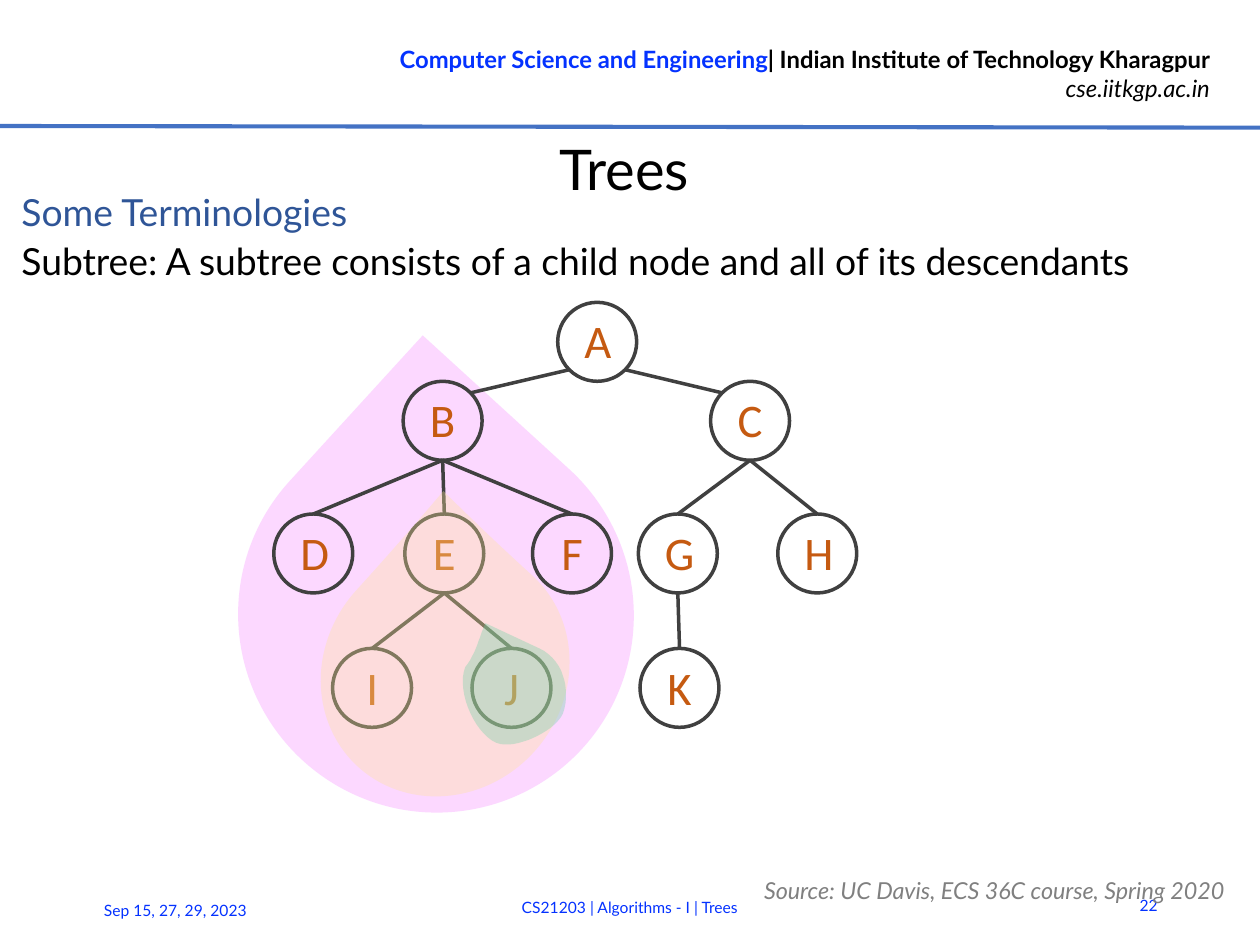
from dataclasses import dataclass

from lxml.etree import SubElement
from pptx import Presentation
from pptx.dml.color import RGBColor
from pptx.enum.shapes import MSO_CONNECTOR, MSO_SHAPE
from pptx.enum.text import MSO_ANCHOR, MSO_AUTO_SIZE, PP_ALIGN
from pptx.oxml.ns import qn
from pptx.shapes.base import BaseShape
from pptx.slide import Slide
from pptx.text.text import Font
from pptx.util import Inches, Pt

BLUE = RGBColor(0x04, 0x32, 0xFF)
RULE_BLUE = RGBColor(0x44, 0x72, 0xC4)
HEADING_BLUE = RGBColor(0x2F, 0x55, 0x97)
BLACK = RGBColor(0x00, 0x00, 0x00)
GRAY = RGBColor(0x80, 0x80, 0x80)
DARK_GRAY = RGBColor(0x40, 0x40, 0x40)
ORANGE = RGBColor(0xC5, 0x5A, 0x11)
PINK = RGBColor(0xF8, 0x8E, 0xFF)
YELLOW = RGBColor(0xFF, 0xE6, 0x99)
GREEN = RGBColor(0x6B, 0xD3, 0xA5)

HEADER_SIZE = 10.2
FOOTER_SIZE = 6.7
NODE_SIZE = 0.47
RADIUS = NODE_SIZE / 2
DIAGONAL = RADIUS * 0.5 ** 0.5
LETTER_WIDTH = 0.35
LETTER_HEIGHT = 0.44
CURVE_STEPS = 16
UNITS_PER_INCH = 1000

Point = tuple[float, float]


@dataclass(frozen=True)
class Box:
    left: float
    top: float
    width: float
    height: float

    def lengths(self) -> list[int]:
        return [Inches(v) for v in (self.left, self.top, self.width, self.height)]


@dataclass(frozen=True)
class Line:
    text: str
    size: float
    color: RGBColor
    italic: bool = False
    align: PP_ALIGN = PP_ALIGN.LEFT
    spacing: float | None = None
    font: str = "Lato"


@dataclass(frozen=True)
class Label:
    box: Box
    lines: tuple[Line, ...]
    anchor: MSO_ANCHOR = MSO_ANCHOR.MIDDLE
    gap: float = 0
    wrap: bool = True


@dataclass(frozen=True)
class Node:
    letter: str
    left: float
    top: float
    parent: str = ""

    @property
    def center(self) -> Point:
        return self.left + RADIUS, self.top + RADIUS


@dataclass(frozen=True)
class Drop:
    box: Box
    rotation: float
    point: float
    color: RGBColor


LABELS = (
    Label(Box(0.03, 1.11, 7.37, 3.87), (
        Line("Some Terminologies", 16, HEADING_BLUE, spacing=17),
        Line("Subtree: A subtree consists of a child node and all of its descendants",
             16, BLACK, spacing=17),
    ), MSO_ANCHOR.TOP, gap=4),
    Label(Box(6.62, 5.24, 0.37, 0.3), (Line("22", FOOTER_SIZE, BLUE, align=PP_ALIGN.RIGHT),)),
    Label(Box(0.52, 5.27, 1.31, 0.3), (Line("Sep 15, 27, 29, 2023", FOOTER_SIZE, BLUE),)),
    Label(Box(1.24, 5.25, 5.02, 0.3),
          (Line("CS21203 | Algorithms - I | Trees", FOOTER_SIZE, BLUE, align=PP_ALIGN.CENTER),)),
    Label(Box(4.45, 5.17, 3.02, 0.17),
          (Line("Source: UC Davis, ECS 36C course, Spring 2020", 10, GRAY,
                italic=True, spacing=18),)),
)

NODES = (
    Node("A", 3.32, 1.8),
    Node("B", 2.4, 2.27, "A"),
    Node("C", 4.23, 2.27, "A"),
    Node("D", 1.63, 3.06, "B"),
    Node("E", 2.41, 3.06, "B"),
    Node("F", 3.17, 3.06, "B"),
    Node("G", 3.8, 3.06, "C"),
    Node("H", 4.63, 3.06, "C"),
    Node("I", 1.98, 3.86, "E"),
    Node("J", 2.81, 3.86, "E"),
    Node("K", 3.81, 3.86, "G"),
)

SUBTREE_B = Drop(Box(1.42, 2.48, 2.35, 2.36), 312.4, 1, PINK)
SUBTREE_E = Drop(Box(1.88, 3.28, 1.54, 1.43), 312.3, 1.02, YELLOW)
SUBTREE_J = (
    ((2.98, 4.43), (2.84, 4.4), (2.71, 4.12), (2.77, 3.97)),
    ((2.77, 3.97), (2.83, 3.9), (2.85, 3.8), (2.89, 3.71)),
    ((3.21, 3.86), (3.38, 3.94), (3.39, 4.15), (3.35, 4.25)),
    ((3.35, 4.25), (3.31, 4.34), (3.11, 4.45), (2.98, 4.43)),
)


def style_font(font: Font, size: float, color: RGBColor, name: str = "Lato") -> None:
    font.name = name
    font.size = Pt(size)
    font.color.rgb = color


def add_label(slide: Slide, label: Label) -> None:
    frame = slide.shapes.add_textbox(*label.box.lengths()).text_frame
    frame.word_wrap = label.wrap
    frame.vertical_anchor = label.anchor
    for index, line in enumerate(label.lines):
        paragraph = frame.add_paragraph() if index else frame.paragraphs[0]
        paragraph.text = line.text
        paragraph.alignment = line.align
        if line.spacing:
            paragraph.line_spacing = Pt(line.spacing)
        if index:
            paragraph.space_before = Pt(label.gap)
        style_font(paragraph.font, line.size, line.color, line.font)
        paragraph.font.italic = line.italic


def add_header(slide: Slide) -> None:
    frame = slide.shapes.add_textbox(*Box(1.91, 0.22, 5.39, 0.44).lengths()).text_frame
    frame.word_wrap = True
    department, address = frame.paragraphs[0], frame.add_paragraph()
    for text, color in (("Computer Science and Engineering", BLUE),
                        ("| Indian Institute of Technology Kharagpur", BLACK)):
        run = department.add_run()
        run.text = text
        style_font(run.font, HEADER_SIZE, color)
        run.font.bold = True
    address.text = "cse.iitkgp.ac.in"
    style_font(address.font, HEADER_SIZE, BLACK)
    address.font.italic = True
    for paragraph in (department, address):
        paragraph.alignment = PP_ALIGN.RIGHT


def format_title(slide: Slide) -> None:
    title = slide.shapes.title
    title.left, title.top, title.width, title.height = Box(0.24, 0.79, 6.94, 0.41).lengths()
    frame = title.text_frame
    frame.text = "Trees"
    frame.auto_size = MSO_AUTO_SIZE.NONE
    frame.vertical_anchor = MSO_ANCHOR.MIDDLE
    frame.margin_left = frame.margin_top = Inches(0.01)
    frame.margin_right = frame.margin_bottom = 0
    paragraph = frame.paragraphs[0]
    paragraph.alignment = PP_ALIGN.CENTER
    paragraph.line_spacing = 1.0
    style_font(paragraph.font, 24, BLACK)


def add_line(slide: Slide, start: Point, end: Point, color: RGBColor, width: float) -> None:
    ends = [Inches(value) for value in (*start, *end)]
    connector = slide.shapes.add_connector(MSO_CONNECTOR.STRAIGHT, *ends)
    connector.line.color.rgb = color
    connector.line.width = Pt(width)
    SubElement(connector._element.spPr, qn("a:effectLst"))


def add_node(slide: Slide, node: Node) -> None:
    box = Box(node.left, node.top, NODE_SIZE, NODE_SIZE)
    shape = slide.shapes.add_shape(MSO_SHAPE.OVAL, *box.lengths())
    shape.shadow.inherit = False
    shape.fill.background()
    shape.line.color.rgb = DARK_GRAY
    shape.line.width = Pt(1.5)
    letter_box = Box(node.center[0] - LETTER_WIDTH / 2, node.top + 0.01,
                     LETTER_WIDTH, LETTER_HEIGHT)
    letter = Line(node.letter, 20, ORANGE, align=PP_ALIGN.CENTER, font="Calibri")
    add_label(slide, Label(letter_box, (letter,), MSO_ANCHOR.TOP, wrap=False))


def add_edge(slide: Slide, parent: Node, child: Node) -> None:
    (start_x, start_y), (end_x, end_y) = parent.center, child.center
    if parent.parent:
        start, end = (start_x, start_y + RADIUS), (end_x, end_y - RADIUS)
    else:
        shift = DIAGONAL if end_x > start_x else -DIAGONAL
        start, end = (start_x + shift, start_y + DIAGONAL), (end_x - shift, end_y - DIAGONAL)
    add_line(slide, start, end, DARK_GRAY, 1.5)


def tint(shape: BaseShape, color: RGBColor) -> None:
    shape.shadow.inherit = False
    shape.line.fill.background()
    shape.fill.solid()
    shape.fill.fore_color.rgb = color
    fill_color = shape._element.spPr.find(qn("a:solidFill")).find(qn("a:srgbClr"))
    SubElement(fill_color, qn("a:alpha")).set("val", "34000")


def add_drop(slide: Slide, drop: Drop) -> None:
    shape = slide.shapes.add_shape(MSO_SHAPE.TEAR, *drop.box.lengths())
    shape.adjustments[0] = drop.point
    shape.rotation = drop.rotation
    tint(shape, drop.color)


def curve_point(curve: tuple[Point, ...], t: float) -> Point:
    weights = ((1 - t) ** 3, 3 * t * (1 - t) ** 2, 3 * t * t * (1 - t), t ** 3)
    x, y = (UNITS_PER_INCH * sum(w * p[axis] for w, p in zip(weights, curve)) for axis in (0, 1))
    return x, y


def add_leaf_outline(slide: Slide) -> None:
    points = [curve_point(curve, step / CURVE_STEPS)
              for curve in SUBTREE_J for step in range(CURVE_STEPS + 1)]
    builder = slide.shapes.build_freeform(*points[0], scale=Inches(1) / UNITS_PER_INCH)
    builder.add_line_segments(points[1:], close=True)
    tint(builder.convert_to_shape(), GREEN)


def main() -> None:
    presentation = Presentation()
    presentation.slide_width = Inches(7.5)
    presentation.slide_height = presentation.slide_width * 3 // 4
    slide = presentation.slides.add_slide(presentation.slide_layouts[5])
    format_title(slide)
    add_header(slide)
    add_line(slide, (0, 0.75), (7.5, 0.76), RULE_BLUE, 1.75)
    add_drop(slide, SUBTREE_B)
    for label in LABELS:
        add_label(slide, label)
    for node in NODES:
        add_node(slide, node)
    by_letter = {node.letter: node for node in NODES}
    for node in NODES:
        if node.parent:
            add_edge(slide, by_letter[node.parent], node)
    add_drop(slide, SUBTREE_E)
    add_leaf_outline(slide)
    presentation.save("out.pptx")


if __name__ == "__main__":
    main()
